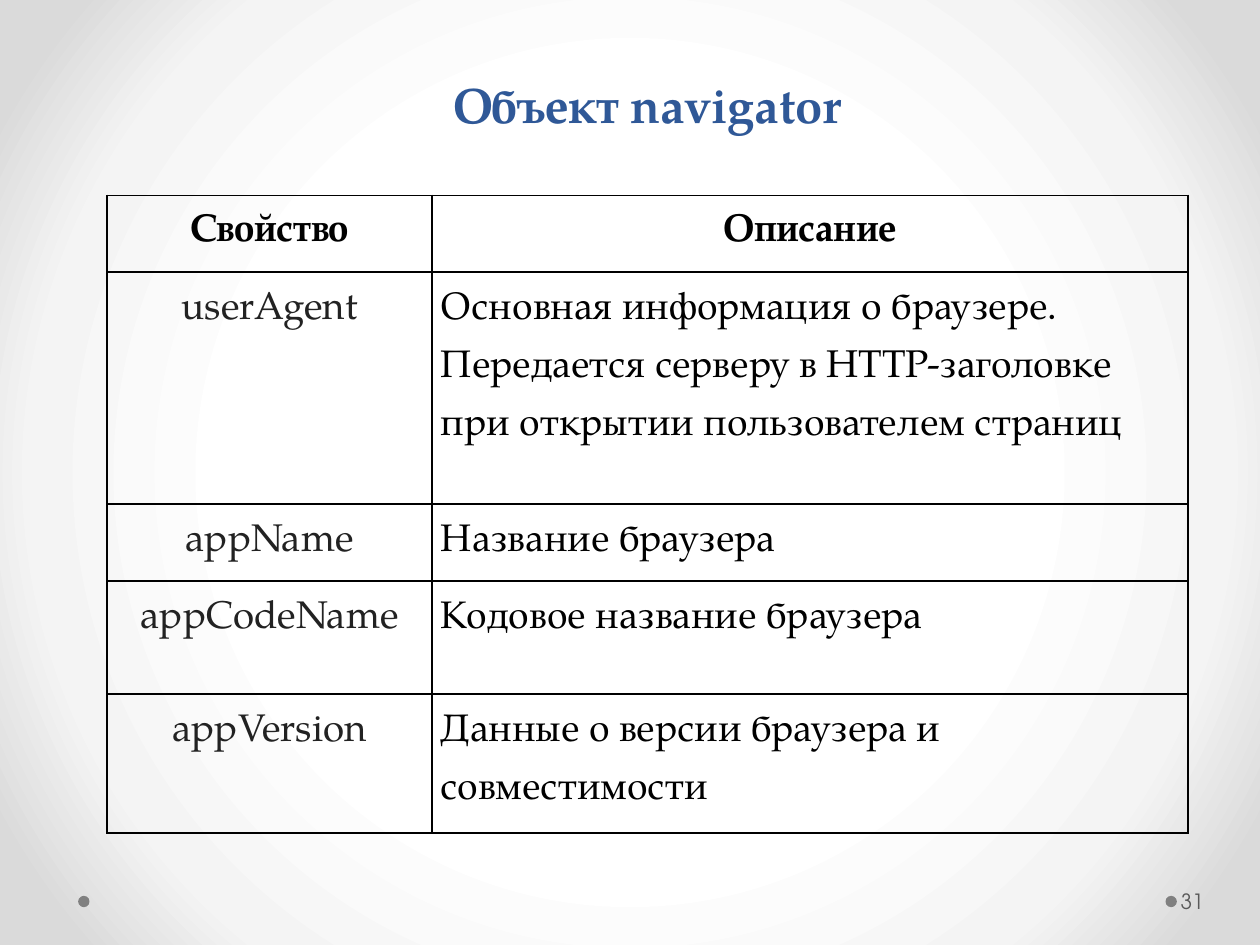
import lxml.etree
import pptx
import pptx.dml.color
import pptx.enum.shapes
import pptx.enum.text
import pptx.oxml
import pptx.oxml.ns
import pptx.util

Inches = pptx.util.Inches
Pt = pptx.util.Pt
RGBColor = pptx.dml.color.RGBColor
ALIGN = pptx.enum.text.PP_ALIGN
ANCHOR = pptx.enum.text.MSO_ANCHOR

TITLE = "Объект navigator"
PAGE_NUMBER = "31"
ROWS = [
    ("Свойство", "Описание"),
    ("userAgent", "Основная информация о браузере. Передается серверу в "
                  "HTTP-заголовке при открытии пользователем страниц"),
    ("appName", "Название браузера"),
    ("appCodeName", "Кодовое название браузера"),
    ("appVersion", "Данные о версии браузера и совместимости"),
]
COLUMN_WIDTHS = [2.58, 6]
ROW_HEIGHTS = [0.61, 1.84, 0.61, 0.9, 1.1]
TABLE_LEFT, TABLE_TOP = 0.85, 1.55
DOT_LEFTS = [0.62, 9.25]
DOT_TOP, DOT_SIZE = 7.11, 0.09
BACKGROUND_STOPS = [(50, "FFFFFF"), (76, "F4F4F4"), (92, "DADADA")]

BODY_FONT = "TeX Gyre Pagella"
NUMBER_FONT = "TeX Gyre Adventor"
BLUE = RGBColor(0x2F, 0x58, 0x97)
BLACK = RGBColor(0, 0, 0)
CHARCOAL = RGBColor(0x22, 0x22, 0x22)
DARK_GRAY = RGBColor(0x59, 0x59, 0x59)
GRAY = RGBColor(0x80, 0x80, 0x80)
NAMESPACES = pptx.oxml.ns.nsdecls("a")


def set_background(slide):
    slide.background.fill.solid()
    stops = "".join(
        f'<a:gs pos="{share * 1000}"><a:srgbClr val="{color}"/></a:gs>'
        for share, color in BACKGROUND_STOPS
    )
    gradient = pptx.oxml.parse_xml(
        f'<a:gradFill {NAMESPACES} rotWithShape="1"><a:gsLst>{stops}</a:gsLst>'
        '<a:path path="circle"><a:fillToRect l="50000" t="50000" r="50000" b="50000"/>'
        '</a:path></a:gradFill>'
    )
    solid = slide.element.find(".//" + pptx.oxml.ns.qn("a:solidFill"))
    solid.getparent().replace(solid, gradient)


def write(text_frame, text, size, color, name=BODY_FONT, bold=False, align=ALIGN.LEFT):
    text_frame.word_wrap = True
    paragraph = text_frame.paragraphs[0]
    paragraph.text = text
    paragraph.alignment = align
    font = paragraph.font
    font.name, font.size, font.bold = name, Pt(size), bold
    font.color.rgb = color
    return paragraph


def add_borders(cell):
    properties = cell._tc.get_or_add_tcPr()
    for position, side in enumerate(("lnL", "lnR", "lnT", "lnB")):
        properties.insert(position, pptx.oxml.parse_xml(
            f'<a:{side} {NAMESPACES} w="{Pt(1)}"><a:solidFill>'
            f'<a:srgbClr val="{BLACK}"/></a:solidFill></a:{side}>'
        ))


def add_property_table(slide):
    table = slide.shapes.add_table(
        len(ROWS), len(COLUMN_WIDTHS), Inches(TABLE_LEFT), Inches(TABLE_TOP),
        Inches(sum(COLUMN_WIDTHS)), Inches(sum(ROW_HEIGHTS)),
    ).table
    table.first_row = table.horz_banding = False
    for column, width in zip(table.columns, COLUMN_WIDTHS):
        column.width = Inches(width)
    for row, height in zip(table.rows, ROW_HEIGHTS):
        row.height = Inches(height)
    for row_index, texts in enumerate(ROWS):
        for column_index, text in enumerate(texts):
            cell = table.cell(row_index, column_index)
            header, name_column = row_index == 0, column_index == 0
            cell.margin_left = cell.margin_right = Inches(0.07)
            cell.margin_top = cell.margin_bottom = 0
            cell.fill.background()
            add_borders(cell)
            paragraph = write(
                cell.text_frame, text, 22,
                CHARCOAL if name_column and not header else BLACK,
                bold=header,
                align=ALIGN.CENTER if header or name_column else ALIGN.LEFT,
            )
            paragraph.line_spacing = 1.5


def main():
    presentation = pptx.Presentation()
    presentation.slide_width, presentation.slide_height = Inches(10), Inches(7.5)
    slide = presentation.slides.add_slide(presentation.slide_layouts[6])
    set_background(slide)

    for left in DOT_LEFTS:
        dot = slide.shapes.add_shape(
            pptx.enum.shapes.MSO_SHAPE.OVAL, Inches(left), Inches(DOT_TOP),
            Inches(DOT_SIZE), Inches(DOT_SIZE),
        )
        dot.shadow.inherit = False
        dot.fill.solid()
        dot.fill.fore_color.rgb = GRAY
        dot.line.fill.background()

    title = slide.shapes.add_textbox(Inches(0.79), Inches(0.54), Inches(8.7), Inches(0.57))
    write(title.text_frame, TITLE, 28, BLUE, bold=True, align=ALIGN.CENTER)

    number = slide.shapes.add_textbox(Inches(9.34), Inches(6.95), Inches(0.61), Inches(0.4))
    frame = number.text_frame
    frame.vertical_anchor = ANCHOR.MIDDLE
    frame.margin_left, frame.margin_right = Inches(0.03), Inches(0.05)
    write(frame, PAGE_NUMBER, 12, DARK_GRAY, name=NUMBER_FONT)

    add_property_table(slide)
    presentation.save("out.pptx")


if __name__ == "__main__":
    main()
